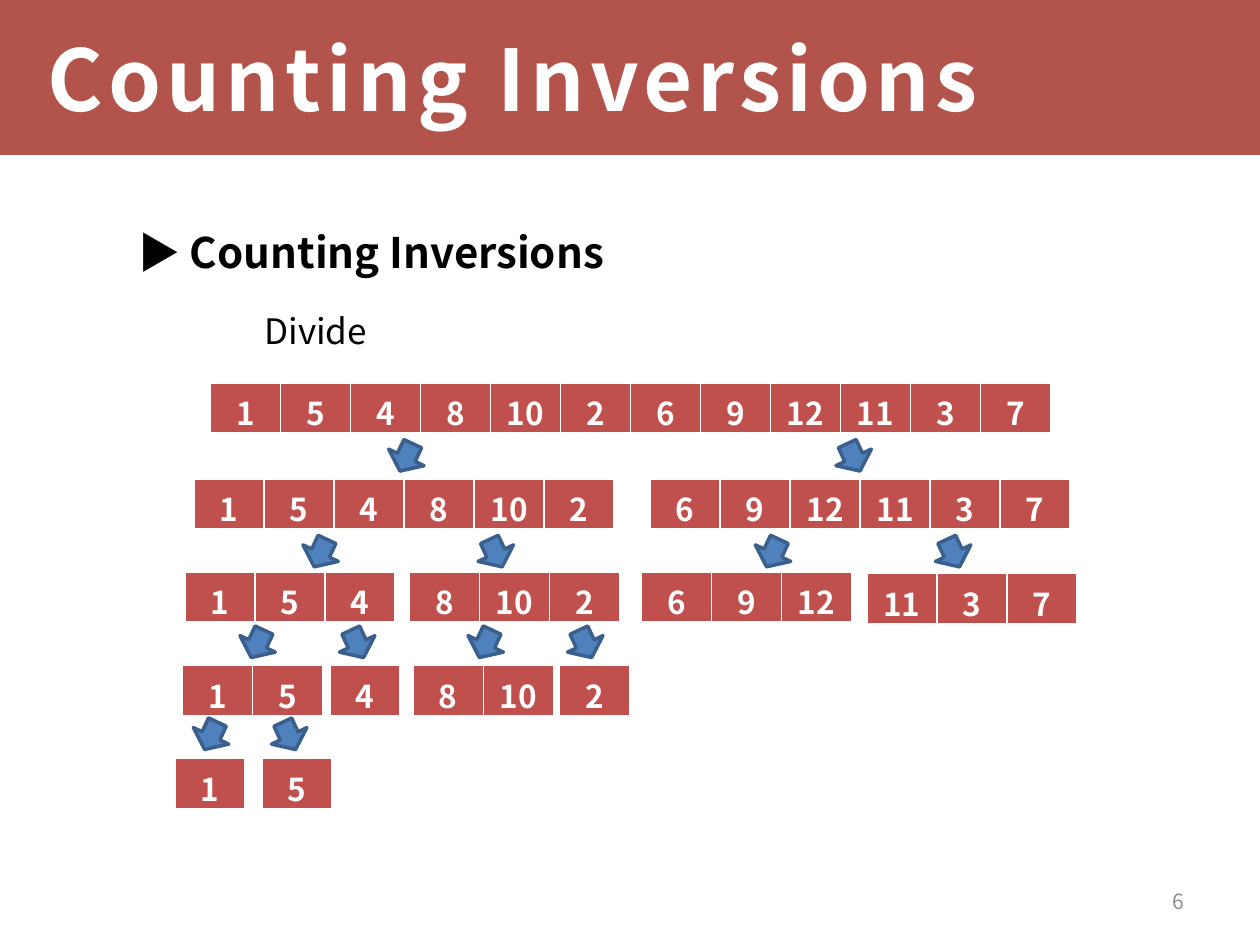
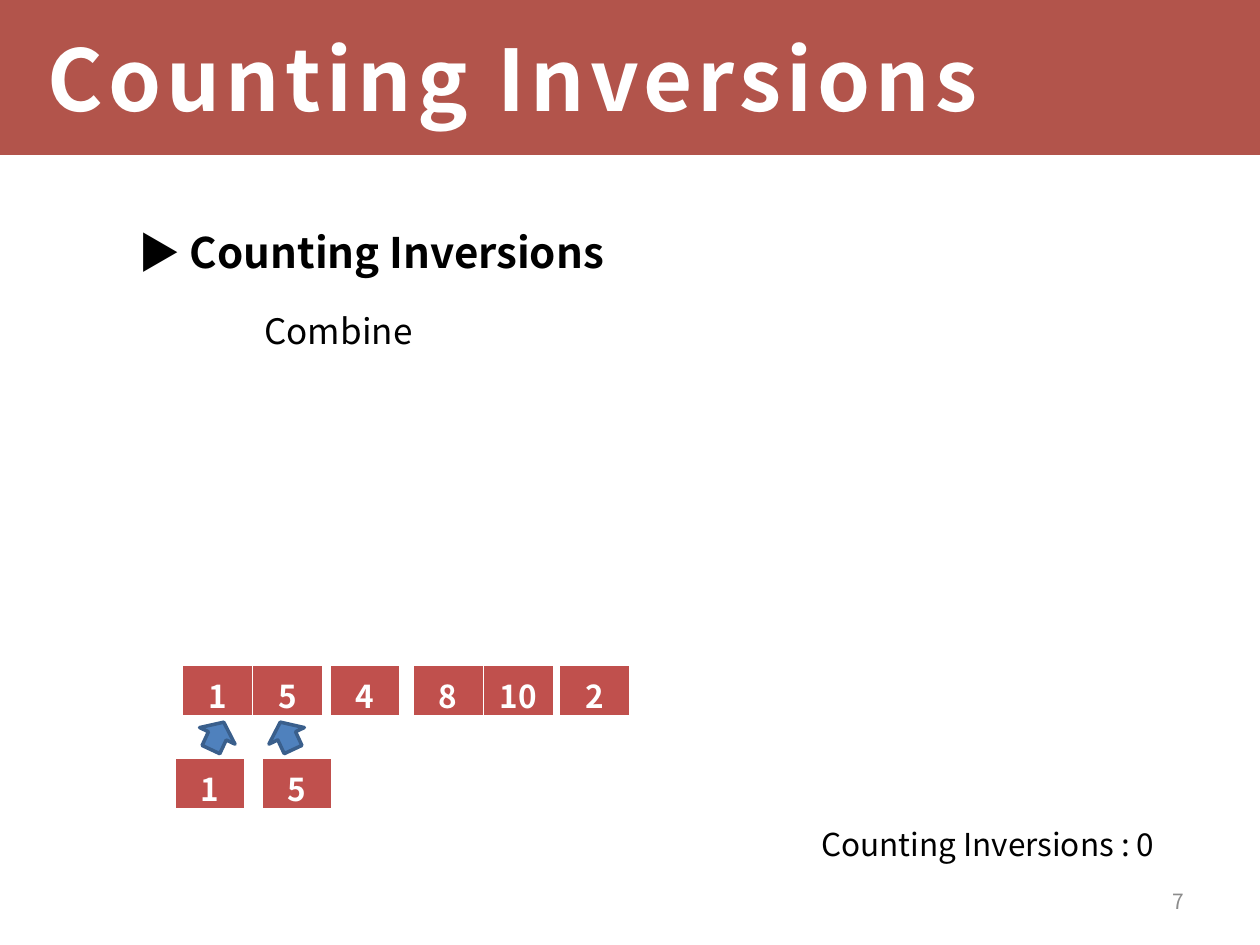
from lxml import etree
from pptx import Presentation, util as u
from pptx.dml.color import RGBColor
from pptx.enum import shapes, text
from pptx.oxml.ns import qn

FONT = "Noto Sans CJK KR"
WHITE, BLACK, GREY = "FFFFFF", "000000", "8C8C8C"
BAND, CELL, ARROW, ARROW_EDGE = "9B1F13", "C0504D", "4F81BD", "3A5F8C"
TITLE = "Counting Inversions"
CELL_WIDTH, CELL_HEIGHT = 5 / 9, 0.41
LEFT_TILT, RIGHT_TILT = 25, 335
ALIGN = text.PP_ALIGN
MIDDLE = text.MSO_ANCHOR.MIDDLE

# Each array is (left, top, values)
UPPER_ARRAYS = [
    (1.67, 3.04, [1, 5, 4, 8, 10, 2, 6, 9, 12, 11, 3, 7]),
    (1.54, 3.8, [1, 5, 4, 8, 10, 2]),
    (5.16, 3.8, [6, 9, 12, 11, 3, 7]),
    (1.47, 4.54, [1, 5, 4]),
    (3.25, 4.54, [8, 10, 2]),
    (5.09, 4.54, [6, 9, 12]),
    (6.88, 4.55, [11, 3, 7]),
]
LOWER_ARRAYS = [
    (1.45, 5.28, [1, 5]),
    (2.62, 5.28, [4]),
    (3.28, 5.28, [8, 10]),
    (4.44, 5.28, [2]),
    (2.08, 6.02, [5]),
    (1.39, 6.02, [1]),
]
# Top of an arrow row: (lefts tilted left, lefts tilted right)
DIVIDE_ARROWS = {
    3.51: ([3.07], [6.62]),
    4.27: ([2.39, 5.98], [3.78, 7.41]),
    4.99: ([1.89, 3.7], [2.68, 4.49]),
    5.72: ([1.52], [2.14]),
}


def color(value):
    """Turn a hex string into a colour."""
    return RGBColor.from_string(value)


def write(para, words, size=18, ink=BLACK, bold=False, align=ALIGN.LEFT,
          before=0, indent=0, spacing=0):
    """Write formatted words into a paragraph."""
    para.alignment = align
    para.space_before = u.Pt(before)
    if indent:
        properties = para._p.get_or_add_pPr()
        properties.set("marL", str(u.Inches(indent)))
        properties.set("indent", "0")
    span = para.add_run()
    span.text = words
    span.font.size, span.font.bold = u.Pt(size), bold
    span.font.name = FONT
    span.font.color.rgb = color(ink)
    properties = span._r.get_or_add_rPr()
    etree.SubElement(properties, qn("a:ea"), typeface=FONT)
    if spacing:
        properties.set("spc", str(spacing * 100))


def add_text_box(page, left, top, width, height, anchor=text.MSO_ANCHOR.TOP):
    """Add a wrapping text box and return its frame."""
    box = page.shapes.add_textbox(*map(u.Inches, (left, top, width, height)))
    frame = box.text_frame
    frame.word_wrap = True
    frame.vertical_anchor = anchor
    return frame


def add_shape(page, kind, left, top, width, height, fill):
    """Add a filled preset shape without shadow."""
    shape = page.shapes.add_shape(kind, *map(u.Inches, (left, top, width, height)))
    shape.shadow.inherit = False
    shape.fill.solid()
    shape.fill.fore_color.rgb = color(fill)
    return shape


def add_border(cell, side, points):
    """Draw a white border on one side of a cell."""
    properties = cell._tc.get_or_add_tcPr()
    line = etree.SubElement(properties, qn("a:" + side), w=str(u.Pt(points)))
    fill = etree.SubElement(line, qn("a:solidFill"))
    etree.SubElement(fill, qn("a:srgbClr"), val=WHITE)


def add_array(page, left, top, values):
    """Show an array as a table of one row."""
    width = CELL_WIDTH * len(values)
    frame = page.shapes.add_table(
        1, len(values), *map(u.Inches, (left, top, width, CELL_HEIGHT)))
    table = frame.table
    table.first_row = table.horz_banding = False
    for column, value in enumerate(values):
        table.columns[column].width = u.Inches(CELL_WIDTH)
        cell = table.cell(0, column)
        for side, points in (("lnL", 1), ("lnR", 1), ("lnT", 1), ("lnB", 3)):
            add_border(cell, side, points)
        cell.fill.solid()
        cell.fill.fore_color.rgb = color(CELL)
        write(cell.text_frame.paragraphs[0], str(value), ink=WHITE, bold=True,
              align=ALIGN.CENTER)


def add_arrow(page, left, top, rotation):
    """Add a small block arrow turned clockwise from pointing down."""
    arrow = add_shape(page, shapes.MSO_SHAPE.DOWN_ARROW, left, top, 0.31, 0.24, ARROW)
    arrow.line.color.rgb = color(ARROW_EDGE)
    arrow.line.width = u.Pt(2)
    arrow.rotation = rotation


def add_page(deck, number, step):
    """Add a page with title band, headings and page number."""
    page = deck.slides.add_slide(deck.slide_layouts[6])
    band = add_shape(page, shapes.MSO_SHAPE.RECTANGLE, 0, 0, 10, 1.23, BAND)
    band.line.fill.background()
    tint = band.fill._xPr.find(qn("a:solidFill"))[0]
    etree.SubElement(tint, qn("a:alpha"), val="76000")

    body = add_text_box(page, 0.5, 1.75, 9, 4.95)
    write(body.paragraphs[0], "▶ " + TITLE, size=24, bold=True,
          align=ALIGN.JUSTIFY, indent=0.5)
    write(body.add_paragraph(), step, size=20, align=ALIGN.JUSTIFY,
          before=18.5, indent=1.5)

    footer = add_text_box(page, 7.17, 6.95, 2.33, 0.4, MIDDLE)
    write(footer.paragraphs[0], str(number), size=12, ink=GREY, align=ALIGN.RIGHT)
    heading = add_text_box(page, 0.28, 0, 9.45, 1.23, MIDDLE)
    write(heading.paragraphs[0], TITLE, size=48.5, ink=WHITE, bold=True, spacing=3)
    return page


def add_divide_page(deck):
    """Show the array being split down to single items."""
    page = add_page(deck, 6, "Divide")
    for array in UPPER_ARRAYS + LOWER_ARRAYS:
        add_array(page, *array)
    for top, sides in DIVIDE_ARROWS.items():
        for lefts, tilt in zip(sides, (LEFT_TILT, RIGHT_TILT)):
            for left in lefts:
                add_arrow(page, left, top, tilt)


def add_combine_page(deck):
    """Show the first two items being merged, with the count so far."""
    page = add_page(deck, 7, "Combine")
    for array in LOWER_ARRAYS:
        add_array(page, *array)
    for left, tilt in ((2.12, RIGHT_TILT), (1.57, LEFT_TILT)):
        add_arrow(page, left, 5.72, (tilt + 180) % 360)
    count = add_text_box(page, 6.42, 6.5, 3.46, 0.4)
    write(count.paragraphs[0], TITLE + " : 0")


def main():
    """Build and save the deck."""
    deck = Presentation()
    deck.slide_width, deck.slide_height = u.Inches(10), u.Inches(7.5)
    add_divide_page(deck)
    add_combine_page(deck)
    deck.save("out.pptx")


main()
